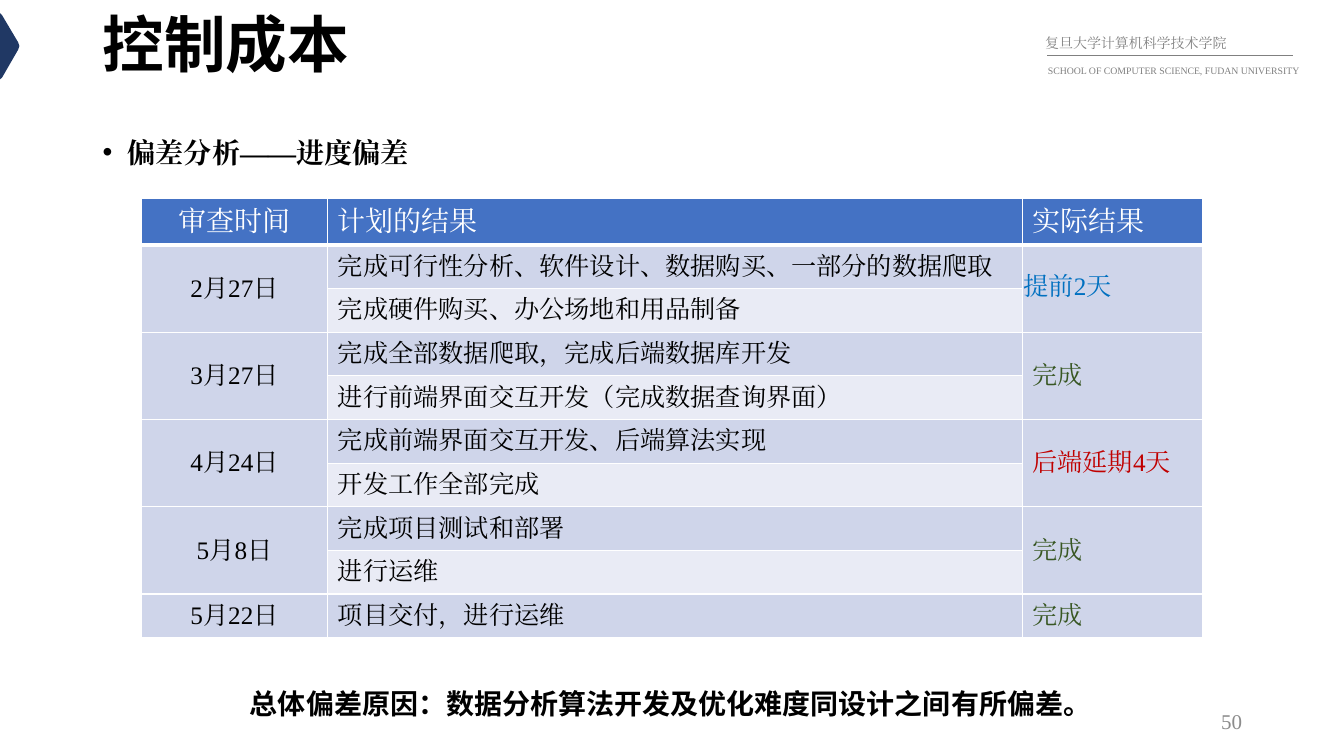
"""Build the schedule variance slide with its review table."""
from lxml.etree import SubElement
from pptx import Presentation
from pptx.dml.color import RGBColor
from pptx.enum.shapes import MSO_CONNECTOR
from pptx.enum.text import MSO_ANCHOR, MSO_AUTO_SIZE, PP_ALIGN
from pptx.oxml.ns import qn
from pptx.util import Cm, Pt

SERIF = "Times New Roman"
SANS = "Noto Sans CJK SC"
BLACK, WHITE, GRAY = "000000", "FFFFFF", "808080"
BLUE, GREEN, RED = "0070C0", "385723", "C00000"
HEADER_FILL, DARK_BAND, LIGHT_BAND = "4472C4", "CFD5EA", "E9EBF5"

HEADERS = ["审查时间", "计划的结果", "实际结果"]
REVIEWS = [
    ("2月27日", ["完成可行性分析、软件设计、数据购买、一部分的数据爬取",
               "完成硬件购买、办公场地和用品制备"], "提前2天", BLUE),
    ("3月27日", ["完成全部数据爬取，完成后端数据库开发",
               "进行前端界面交互开发（完成数据查询界面）"], "完成", GREEN),
    ("4月24日", ["完成前端界面交互开发、后端算法实现", "开发工作全部完成"],
     "后端延期4天", RED),
    ("5月8日", ["完成项目测试和部署", "进行运维"], "完成", GREEN),
    ("5月22日", ["项目交付，进行运维"], "完成", GREEN),
]


def rgb(value):
    return RGBColor.from_string(value)


def write_text(frame, text, size=18, color=BLACK, font=SERIF, bold=False,
               align=PP_ALIGN.LEFT, spacing=1.0):
    paragraph = frame.paragraphs[0]
    paragraph.alignment = align
    paragraph.line_spacing = spacing
    paragraph.space_before = Pt(0)
    run = paragraph.add_run()
    run.text = text
    run.font.size = Pt(size)
    run.font.bold = bold
    run.font.color.rgb = rgb(color)
    run.font.name = font
    SubElement(run.font._element, qn("a:ea"), typeface=font)
    return paragraph


def place(shape, left, top, width, height):
    shape.left, shape.top = Cm(left), Cm(top)
    shape.width, shape.height = Cm(width), Cm(height)


def add_label(slide, box, text, wrap=True, anchor=MSO_ANCHOR.TOP, **text_format):
    frame = slide.shapes.add_textbox(*map(Cm, box)).text_frame
    frame.word_wrap = wrap
    frame.vertical_anchor = anchor
    write_text(frame, text, **text_format)


def fill_placeholder(shape, box, text, anchor, **text_format):
    place(shape, *box)
    frame = shape.text_frame
    frame.auto_size = MSO_AUTO_SIZE.NONE
    frame.vertical_anchor = anchor
    return write_text(frame, text, **text_format)


def add_edge_marker(slide):
    outline = [(0.05, 0.38), (0.46, 1.07), (0.49, 1.16), (0.46, 1.25),
               (0.05, 1.96), (0, 2)]
    builder = slide.shapes.build_freeform(Cm(0), Cm(0.33))
    builder.add_line_segments([(Cm(x), Cm(y)) for x, y in outline])
    marker = builder.convert_to_shape()
    marker.shadow.inherit = False
    marker.fill.solid()
    marker.fill.fore_color.rgb = rgb("203864")
    marker.line.fill.background()


def add_rule(slide, left, right, top):
    rule = slide.shapes.add_connector(
        MSO_CONNECTOR.STRAIGHT, Cm(left), Cm(top), Cm(right), Cm(top))
    rule.line.color.rgb = rgb(GRAY)
    rule.line.width = Pt(0.5)
    SubElement(rule._element.spPr, qn("a:effectLst"))


def style_cell(cell, fill, bottom=1):
    cell.vertical_anchor = MSO_ANCHOR.MIDDLE
    properties = cell._tc.get_or_add_tcPr()
    for side, width in (("L", 1), ("R", 1), ("T", 1), ("B", bottom)):
        border = SubElement(properties, qn(f"a:ln{side}"), w=str(Pt(width)))
        solid = SubElement(border, qn("a:solidFill"))
        SubElement(solid, qn("a:srgbClr"), val=WHITE)
    cell.fill.solid()
    cell.fill.fore_color.rgb = rgb(fill)


def add_review_table(slide):
    row_count = 1 + sum(len(plans) for _, plans, _, _ in REVIEWS)
    table = slide.shapes.add_table(
        row_count, 3, Cm(3.56), Cm(5), Cm(26.75), Cm(11.05)).table
    for column, width in zip(table.columns, (4.7, 17.5, 4.55)):
        column.width = Cm(width)
    for index, row in enumerate(table.rows):
        row.height = Cm(1.1 if index else 1.17)
    for column, header in enumerate(HEADERS):
        cell = table.cell(0, column)
        style_cell(cell, HEADER_FILL, bottom=3)
        write_text(cell.text_frame, header, size=20, color=WHITE,
                   align=PP_ALIGN.LEFT if column else PP_ALIGN.CENTER)
    top = 1
    for date, plans, result, color in REVIEWS:
        for offset, plan in enumerate(plans):
            plan_fill = LIGHT_BAND if offset else DARK_BAND
            for column, fill in enumerate((DARK_BAND, plan_fill, DARK_BAND)):
                style_cell(table.cell(top + offset, column), fill)
            write_text(table.cell(top + offset, 1).text_frame, plan)
        date_cell, result_cell = table.cell(top, 0), table.cell(top, 2)
        if len(plans) > 1:
            for column, cell in ((0, date_cell), (2, result_cell)):
                cell.merge(table.cell(top + len(plans) - 1, column))
        write_text(date_cell.text_frame, date, align=PP_ALIGN.CENTER)
        write_text(result_cell.text_frame, result, color=color)
        top += len(plans)
    early = table.cell(1, 2)
    early.margin_left = early.margin_right = early.margin_top = Cm(0.03)


def main():
    presentation = Presentation()
    presentation.slide_width, presentation.slide_height = Cm(33.87), Cm(19.05)
    slide = presentation.slides.add_slide(presentation.slide_layouts[1])

    add_edge_marker(slide)
    add_label(slide, (26.09, 0.53, 6.91, 0.81), "复旦大学计算机科学技术学院",
              size=10, color=GRAY, align=PP_ALIGN.JUSTIFY, spacing=1.5)
    add_rule(slide, 26.39, 32.59, 1.4)
    add_label(slide, (26.16, 1.35, 6.91, 0.66),
              "SCHOOL OF COMPUTER SCIENCE, FUDAN UNIVERSITY",
              size=7, color=GRAY, spacing=1.5)

    fill_placeholder(slide.shapes.title, (2.33, 0, 29.21, 2.41), "控制成本",
                     MSO_ANCHOR.MIDDLE, size=44, font=SANS, bold=True, spacing=0.9)
    topic = fill_placeholder(slide.placeholders[1], (2.33, 3.12, 29.21, 14.05),
                             "偏差分析——进度偏差", MSO_ANCHOR.TOP,
                             size=20, bold=True, spacing=1.2)
    indent = Cm(0.64)
    topic_properties = topic._p.get_or_add_pPr()
    topic_properties.set("marL", str(indent))
    topic_properties.set("indent", str(-indent))

    add_review_table(slide)
    add_label(slide, (6.05, 17.17, 21.77, 1.12),
              "总体偏差原因：数据分析算法开发及优化难度同设计之间有所偏差。",
              wrap=False, size=20, font=SANS, bold=True)
    add_label(slide, (28.37, 17.65, 3.18, 1.02), "50", anchor=MSO_ANCHOR.MIDDLE,
              size=15, color="8C8C8C", align=PP_ALIGN.RIGHT)
    presentation.save("out.pptx")


if __name__ == "__main__":
    main()
